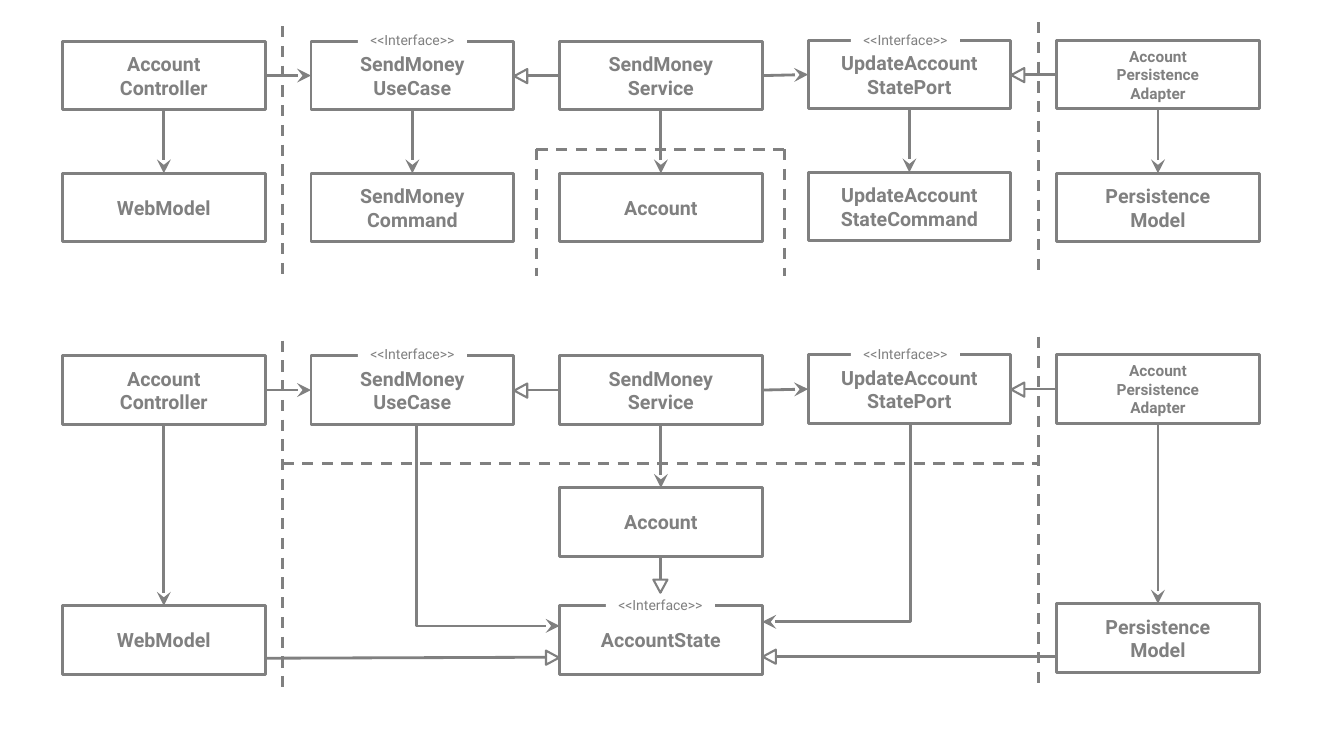
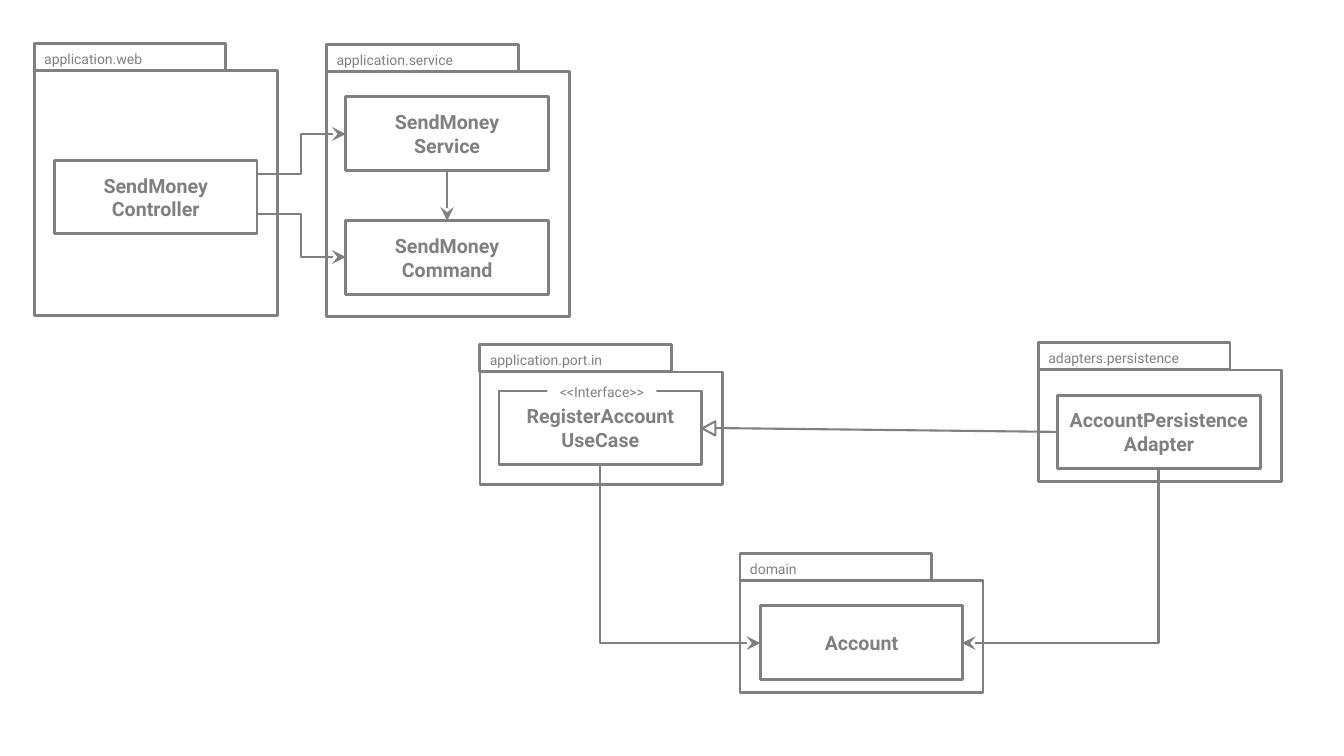
from dataclasses import dataclass
from lxml import etree
from pptx import Presentation
from pptx.dml.color import RGBColor
from pptx.enum import dml, shapes, text
from pptx.oxml import ns
from pptx.util import Inches, Pt


@dataclass(frozen=True)
class Theme:
    grey: RGBColor = RGBColor(0x80, 0x80, 0x80)
    white: RGBColor = RGBColor(0xFF, 0xFF, 0xFF)
    font: str = "Roboto"
    name_size: int = 14
    long_name_size: int = 11
    label_size: int = 10
    thick: float = 2
    thin: float = 1.5


theme = Theme()
SHAPE = shapes.MSO_SHAPE
CONNECTOR = shapes.MSO_CONNECTOR
TOP, LEFT, BOTTOM, RIGHT = range(4)


def box(slide, words, left, top, width, height, size=theme.name_size, bold=True,
        outline=theme.thick, filled=False, align=text.PP_ALIGN.CENTER,
        margin_left=0, margin_top=0, form=SHAPE.RECTANGLE, rotation=0):
    item = slide.shapes.add_shape(form, Inches(left), Inches(top), Inches(width), Inches(height))
    item.shadow.inherit = False
    item.rotation = rotation
    if filled:
        item.fill.solid()
        item.fill.fore_color.rgb = theme.white
    else:
        item.fill.background()
    if outline:
        item.line.color.rgb = theme.grey
        item.line.width = Pt(outline)
    else:
        item.line.fill.background()
    if words:
        frame = item.text_frame
        frame.word_wrap = True
        frame.vertical_anchor = text.MSO_ANCHOR.MIDDLE
        frame.margin_left, frame.margin_top = Inches(margin_left), Inches(margin_top)
        frame.margin_right = frame.margin_bottom = 0
        frame.text = words
        for paragraph in frame.paragraphs:
            paragraph.alignment = align
            paragraph.font.name = theme.font
            paragraph.font.size = Pt(size)
            paragraph.font.bold = bold
            paragraph.font.color.rgb = theme.grey
    return item


def link(slide, start, end, head="stealth", width=theme.thick, kind=CONNECTOR.STRAIGHT,
         corner=False):
    joined_start, joined_end = (not isinstance(point[0], (int, float)) for point in (start, end))
    x1, y1 = (0, 0) if joined_start else start
    x2, y2 = (0, 0) if joined_end else end
    if corner:
        mid_x, mid_y = (x1 + x2) / 2, (y1 + y2) / 2
        half_run, half_drop = (x2 - x1) / 2, (y2 - y1) / 2
        turn = 270 if half_run > 0 else 90
        side = 1 if half_run < 0 else -1
        x1, x2 = mid_x - side * half_drop, mid_x + side * half_drop
        y1, y2 = mid_y - abs(half_run), mid_y + abs(half_run)
    line = slide.shapes.add_connector(kind, Inches(x1), Inches(y1), Inches(x2), Inches(y2))
    if joined_start:
        line.begin_connect(*start)
    if joined_end:
        line.end_connect(*end)
    line.line.color.rgb = theme.grey
    line.line.width = Pt(width)
    properties = line._element.spPr
    if corner:
        properties.find(ns.qn("a:xfrm")).set("rot", str(turn * 60000))
        properties.find(ns.qn("a:prstGeom")).set("prst", "bentConnector2")
    if head == "dash":
        line.line.dash_style = dml.MSO_LINE.DASH
    elif head == "stealth":
        etree.SubElement(properties.find(ns.qn("a:ln")), ns.qn("a:tailEnd"),
                         type="stealth", w="lg", len="lg")
    etree.SubElement(properties, ns.qn("a:effectLst"))
    if head == "hollow":
        run, drop = line.end_x - line.begin_x, line.end_y - line.begin_y
        tip_x, tip_y = line.end_x / Inches(1), line.end_y / Inches(1)
        if abs(run) > abs(drop):
            tip_x -= 0.07 if run > 0 else -0.07
            rotation = 90 if run > 0 else 270
        else:
            tip_y -= 0.07
            rotation = 180
        box(slide, "", tip_x - 0.07, tip_y - 0.06, 0.14, 0.13, outline=theme.thin,
            filled=True, form=SHAPE.ISOSCELES_TRIANGLE, rotation=rotation)
    return line


deck = Presentation()
deck.slide_width, deck.slide_height = Inches(13.33), Inches(7.5)
blank = deck.slide_layouts[6]
stereotype = dict(width=1.08, height=0.27, size=theme.label_size, bold=False,
                  outline=None, filled=True)

layers = deck.slides.add_slide(blank)
class_width, class_height = 2.01, 0.68
columns = [0.62 + (10.48 - 0.62) * i / 4 for i in range(5)]
upper_names = ["Account\nController", "SendMoney\nUseCase", "SendMoney\nService",
               "UpdateAccount\nStatePort", "Account\nPersistence\nAdapter"]
diagrams = [
    (0.41, [(0, "WebModel", 1.72), (1, "SendMoney\nCommand", 1.72), (2, "Account", 1.72),
            (3, "UpdateAccount\nStateCommand", 1.71), (4, "Persistence\nModel", 1.72)]),
    (3.53, [(0, "WebModel", 6.01), (2, "Account", 4.84), (4, "Persistence\nModel", 5.99)]),
]
for row_top, lower_classes in diagrams:
    upper = [box(layers, name, left, row_top - (0.01 if column > 2 else 0),
                 class_width, class_height,
                 size=theme.long_name_size if column == 4 else theme.name_size)
             for column, (left, name) in enumerate(zip(columns, upper_names))]
    for column, name, top in lower_classes:
        lower = box(layers, name, columns[column], top, class_width, class_height)
        link(layers, (upper[column], BOTTOM), (lower, TOP))
    for source, target, head in [(0, 1, "stealth"), (2, 1, "hollow"),
                                 (2, 3, "stealth"), (4, 3, "hollow")]:
        sides = (RIGHT, LEFT) if source < target else (LEFT, RIGHT)
        link(layers, (upper[source], sides[0]), (upper[target], sides[1]), head=head)
    for left in (3.55, 8.44):
        box(layers, "<<Interface>>", left, row_top - 0.15, **stereotype)

box(layers, "AccountState", columns[2], 6.01, class_width, class_height)
box(layers, "<<Interface>>", 6.01, 5.87, **stereotype)
for start, end in [((4.13, 4.21), (5.55, 6.21)), ((9.03, 4.21), (7.56, 6.17))]:
    link(layers, start, end, kind=CONNECTOR.ELBOW, corner=True)
for start, end in [((2.63, 6.53), (5.55, 6.52)), ((10.48, 6.51), (7.56, 6.51)),
                   ((6.55, 5.52), (6.55, 5.88))]:
    link(layers, start, end, head="hollow")

boundaries = [
    ((2.8, 0.26), (2.8, 2.78)), ((10.3, 0.22), (10.3, 2.74)),
    ((5.32, 1.48), (5.32, 2.74)), ((7.78, 1.48), (7.78, 2.74)), ((5.32, 1.48), (7.78, 1.48)),
    ((2.8, 3.38), (2.8, 6.89)), ((10.3, 3.34), (10.3, 6.78)), ((2.8, 4.6), (10.3, 4.6)),
]
for start, end in boundaries:
    link(layers, start, end, head="dash")

packages = deck.slides.add_slide(blank)
for name, left, top, height in [
    ("application.web", 0.34, 0.7, 2.43),
    ("application.service", 3.24, 0.71, 2.43),
    ("application.port.in", 4.76, 3.69, 1.12),
    ("adapters.persistence", 10.3, 3.67, 1.11),
    ("domain", 7.34, 5.76, 1.11),
]:
    box(packages, "", left, top, 2.41, height)
    box(packages, name, left, top - 0.27, 1.9, 0.27, size=theme.label_size, bold=False,
        align=text.PP_ALIGN.LEFT, margin_left=0.1, margin_top=0.04)

controller, service, command, use_case, adapter, account = [
    box(packages, name, left, top, class_width, 0.73) for name, left, top in [
        ("SendMoney\nController", 0.54, 1.59),
        ("SendMoney\nService", 3.43, 0.96),
        ("SendMoney\nCommand", 3.43, 2.19),
        ("RegisterAccount\nUseCase", 4.95, 3.88),
        ("AccountPersistence\nAdapter", 10.49, 3.92),
        ("Account", 7.54, 6.01),
    ]]
box(packages, "<<Interface>>", 5.43, 3.75, **stereotype)

for start, end, corner in [
    ((2.55, 1.73), (3.43, 1.33), False),
    ((2.55, 2.12), (3.43, 2.55), False),
    ((11.49, 4.65), (9.54, 6.38), True),
    ((5.95, 4.62), (7.54, 6.38), True),
]:
    link(packages, start, end, width=theme.thin, kind=CONNECTOR.ELBOW, corner=corner)
link(packages, (service, BOTTOM), (command, TOP), width=theme.thin)
link(packages, (adapter, LEFT), (use_case, RIGHT), head="hollow", width=theme.thin)

deck.save("out.pptx")
